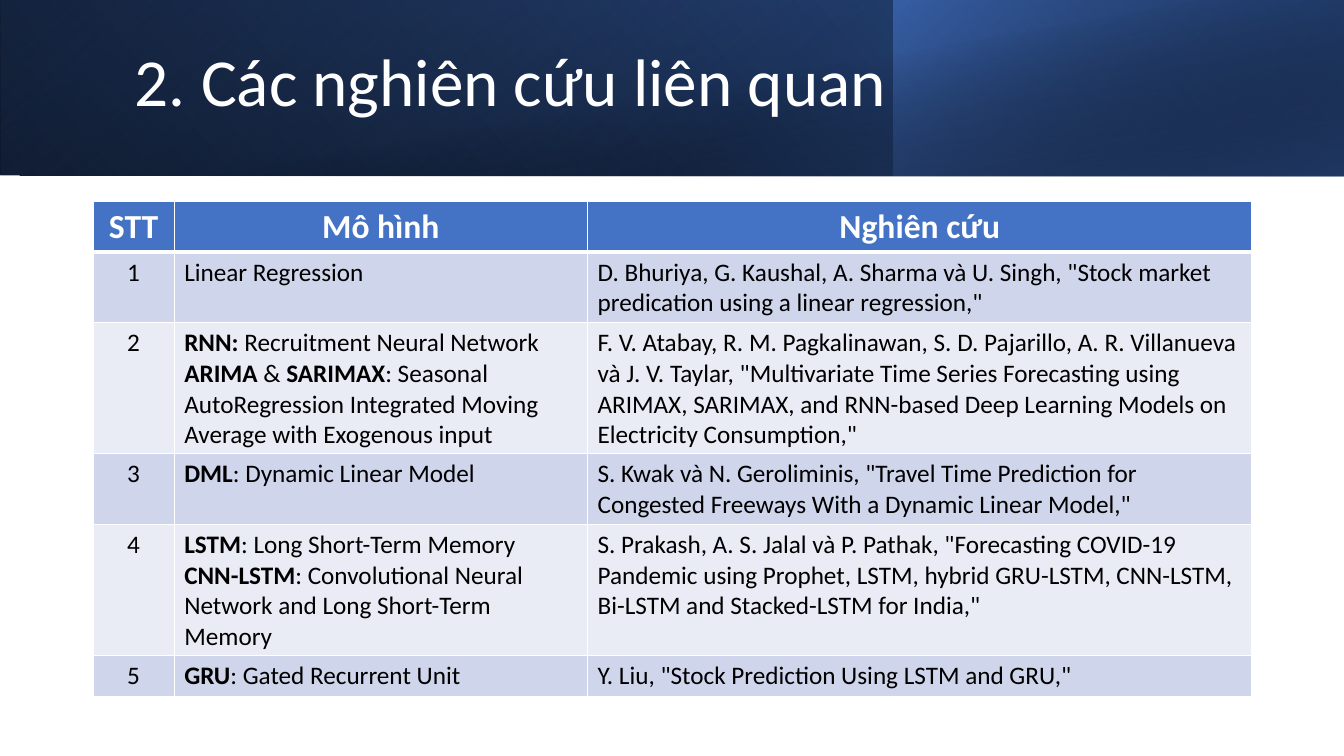
import dataclasses

import pptx
import pptx.dml.color
import pptx.enum.shapes
import pptx.enum.text
import pptx.oxml
import pptx.oxml.ns
import pptx.util

Pt = pptx.util.Pt
RGB = pptx.dml.color.RGBColor.from_string
ALIGN = pptx.enum.text.PP_ALIGN


@dataclasses.dataclass(frozen=True)
class Theme:
    font: str = "Calibri"
    white: str = "FFFFFF"
    black: str = "000000"
    blue: str = "4472C4"
    mid_blue: str = "2F5597"
    navy: str = "203864"
    bands: tuple[str, str] = ("CFD5EA", "E9EBF5")
    title_size: int = 48
    header_size: int = 24
    body_size: int = 18


THEME = Theme()


@dataclasses.dataclass(frozen=True)
class Stop:
    position: float
    color: str
    opacity: int = 100


@dataclasses.dataclass(frozen=True)
class Panel:
    left: float
    width: float
    height: float
    angle: int
    stops: tuple[Stop, Stop]
    rotation: int = 0
    flipped: bool = True


@dataclasses.dataclass(frozen=True)
class Study:
    models: tuple[str, ...]  # one paragraph each, **bold** marked
    reference: str


PANELS = (
    Panel(0, 960, 125.3, 140, (Stop(0, THEME.black), Stop(1, THEME.mid_blue))),
    Panel(0, 639.4, 125.3, 230,
          (Stop(0.2, THEME.blue, 0), Stop(1, THEME.navy, 55)), rotation=180),
    Panel(638.6, 321.4, 125.3, 220,
          (Stop(0, THEME.blue, 66), Stop(1, THEME.black, 30))),
    Panel(36, 924, 126, 280,
          (Stop(0.5, THEME.black, 0), Stop(0.99, THEME.navy, 52)), flipped=False),
)
HEADERS = ("STT", "Mô hình", "Nghiên cứu")
COLUMN_WIDTHS = (58.1, 295.2, 474.7)
ROW_HEIGHT = 29.2
STUDIES = (
    Study(("Linear Regression",),
          'D. Bhuriya, G. Kaushal, A. Sharma và U. Singh, "Stock market predication '
          'using a linear regression,"'),
    Study(("**RNN: **Recruitment Neural Network",
           "**ARIMA** & **SARIMAX**: Seasonal AutoRegression Integrated Moving "
           "Average with Exogenous input"),
          "F. V. Atabay, R. M. Pagkalinawan, S. D. Pajarillo, A. R. Villanueva và "
          'J. V. Taylar, "Multivariate Time Series Forecasting using ARIMAX, SARIMAX, '
          'and RNN-based Deep Learning Models on Electricity Consumption,"'),
    Study(("**DML**: Dynamic Linear Model",),
          'S. Kwak và N. Geroliminis, "Travel Time Prediction for Congested Freeways '
          'With a Dynamic Linear Model,"'),
    Study(("**LSTM**: Long Short-Term Memory",
           "**CNN-LSTM**: Convolutional Neural Network and Long Short-Term Memory"),
          'S. Prakash, A. S. Jalal và P. Pathak, "Forecasting COVID-19 Pandemic using '
          'Prophet, LSTM, hybrid GRU-LSTM, CNN-LSTM, Bi-LSTM and Stacked-LSTM for '
          'India,"'),
    Study(("**GRU**: Gated Recurrent Unit",),
          'Y. Liu, "Stock Prediction Using LSTM and GRU,"'),
)


def style(font, size: int, color: str, bold: bool | None = None) -> None:
    font.name = THEME.font
    font.size = Pt(size)
    font.color.rgb = RGB(color)
    font.bold = bold


def add_panel(s, panel: Panel) -> None:
    sp = s.shapes.add_shape(pptx.enum.shapes.MSO_SHAPE.RECTANGLE, Pt(panel.left), 0,
                            Pt(panel.width), Pt(panel.height))
    sp.shadow.inherit = False
    sp.line.fill.background()
    sp.rotation = panel.rotation
    if panel.flipped:
        sp._element.spPr.xfrm.set("flipH", "1")
    sp.fill.gradient()
    sp.fill.gradient_angle = panel.angle
    for gs, stop in zip(sp.fill.gradient_stops, panel.stops):
        gs.position = stop.position
        gs.color.rgb = RGB(stop.color)
    colors = sp._element.spPr.iter(pptx.oxml.ns.qn("a:srgbClr"))
    for color, stop in zip(list(colors), panel.stops):
        if stop.opacity < 100:
            alpha = pptx.oxml.parse_xml(
                f'<a:alpha {pptx.oxml.ns.nsdecls("a")} val="{stop.opacity * 1000}"/>')
            color.append(alpha)


def add_title(s, text: str) -> None:
    sp = s.shapes.add_textbox(Pt(89.3), Pt(6.5), Pt(802.8), Pt(108.7))
    tf = sp.text_frame
    tf.word_wrap = True
    tf.vertical_anchor = pptx.enum.text.MSO_ANCHOR.MIDDLE
    p = tf.paragraphs[0]
    p.text = text
    p.line_spacing = 0.9
    style(p.font, THEME.title_size, THEME.white)


def set_borders(cell, top: int, bottom: int) -> None:
    tc_pr = cell._tc.get_or_add_tcPr()
    for i, (side, width) in enumerate((("L", 1), ("R", 1), ("T", top), ("B", bottom))):
        tc_pr.insert(i, pptx.oxml.parse_xml(
            f'<a:ln{side} {pptx.oxml.ns.nsdecls("a")} w="{Pt(width)}"><a:solidFill>'
            f'<a:srgbClr val="{THEME.white}"/></a:solidFill></a:ln{side}>'))


def fill_cell(cell, lines: tuple[str, ...], row: int, centred: bool) -> None:
    header = row == 0
    cell.fill.solid()
    cell.fill.fore_color.rgb = RGB(THEME.blue if header else THEME.bands[(row - 1) % 2])
    set_borders(cell, top=3 if row == 1 else 1, bottom=3 if header else 1)
    tf = cell.text_frame
    for i, line in enumerate(lines):
        p = tf.add_paragraph() if i else tf.paragraphs[0]
        if centred:
            p.alignment = ALIGN.CENTER
        if header:
            style(p.font, THEME.header_size, THEME.white, True)
        else:
            style(p.font, THEME.body_size, THEME.black, False)
        # Text between ** marks is bold
        for j, part in enumerate(line.split("**")):
            if part:
                r = p.add_run()
                r.text = part
                if j % 2:
                    r.font.bold = True


def add_study_table(s) -> None:
    rows = [tuple((h,) for h in HEADERS)]
    rows += [((str(n),), study.models, (study.reference,))
             for n, study in enumerate(STUDIES, 1)]
    table = s.shapes.add_table(len(rows), len(HEADERS), Pt(66.4), Pt(144),
                               Pt(sum(COLUMN_WIDTHS)), Pt(ROW_HEIGHT * len(rows))).table
    for column, width in zip(table.columns, COLUMN_WIDTHS):
        column.width = Pt(width)
    for i, row in enumerate(rows):
        table.rows[i].height = Pt(ROW_HEIGHT)
        for j, lines in enumerate(row):
            fill_cell(table.cell(i, j), lines, i, centred=i == 0 or j == 0)


def main() -> None:
    prs = pptx.Presentation()
    prs.slide_width, prs.slide_height = Pt(960), Pt(540)
    s = prs.slides.add_slide(prs.slide_layouts[6])
    # Banner
    for panel in PANELS:
        add_panel(s, panel)
    add_title(s, "2. Các nghiên cứu liên quan")
    # Related studies
    add_study_table(s)
    prs.save("out.pptx")


if __name__ == "__main__":
    main()
